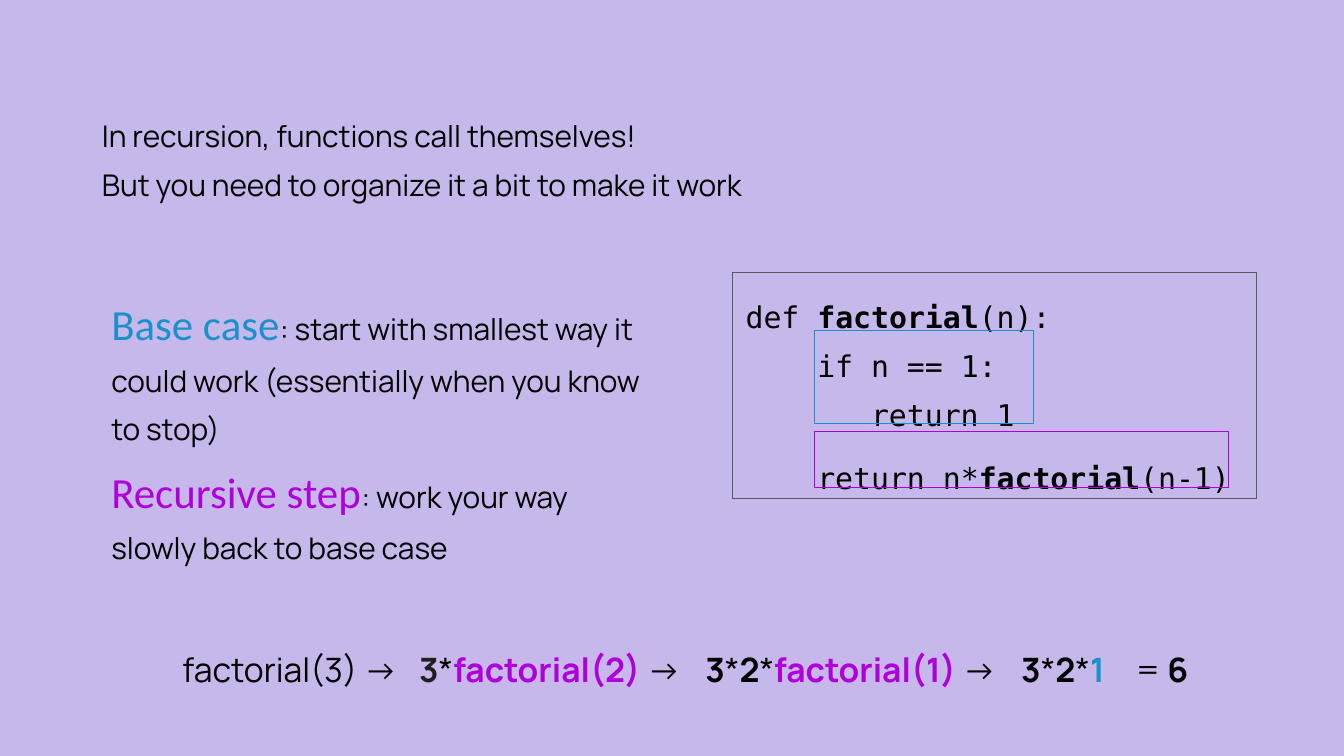
from dataclasses import dataclass
from typing import NamedTuple

from pptx import Presentation
from pptx.dml.color import RGBColor
from pptx.enum.shapes import MSO_SHAPE
from pptx.enum.text import MSO_ANCHOR, PP_ALIGN
from pptx.util import Inches, Pt

CELL = Inches(0.1)  # the slide is 100 columns wide


@dataclass(frozen=True)
class Theme:
    background: str = "C6B8EB"
    ink: str = "000000"
    soft_ink: str = "1F1F1F"
    frame: str = "595959"
    base: str = "1B91CA"
    recursive: str = "AF00DB"
    body_font: str = "Manrope"
    term_font: str = "Calibri"
    code_font: str = "DejaVu Sans Mono"
    body_size: float = 16
    term_size: float = 23
    step_size: float = 18
    line_spacing: float = 1.36
    line_width: float = 0.75


THEME = Theme()


class Area(NamedTuple):
    column: float
    row: float
    columns: float
    rows: float

    def lengths(self) -> list[int]:
        return [round(cells * CELL) for cells in self]


class Span(NamedTuple):
    text: str
    bold: bool = False
    color: str = THEME.ink
    font: str | None = None
    size: float | None = None


class Para(NamedTuple):
    spans: list[Span]
    indent: float = 0  # in characters of code
    gap: float = 0  # points above


class Step(NamedTuple):
    column: float
    columns: float
    spans: list[Span]


def write(shape, paras: list[Para], font: str, size: float) -> None:
    """Fill a shape with left-aligned paragraphs."""
    frame = shape.text_frame
    frame.word_wrap = True
    frame.vertical_anchor = MSO_ANCHOR.TOP
    frame.margin_left = frame.margin_right = CELL
    frame.margin_top = frame.margin_bottom = CELL
    for index, para in enumerate(paras):
        paragraph = frame.add_paragraph() if index else frame.paragraphs[0]
        paragraph.alignment = PP_ALIGN.LEFT
        paragraph.line_spacing = THEME.line_spacing
        paragraph.space_before = Pt(para.gap)
        paragraph.font.name = font
        paragraph.font.size = Pt(size)
        if para.indent:
            # A monospaced character is 0.6 em wide
            margin = Pt(para.indent * 0.6 * size)
            paragraph._p.get_or_add_pPr().set("marL", str(margin))
        for span in para.spans:
            run = paragraph.add_run()
            run.text = span.text
            run.font.bold = span.bold
            run.font.color.rgb = RGBColor.from_string(span.color)
            if span.font:
                run.font.name = span.font
            if span.size:
                run.font.size = Pt(span.size)


def add_text(page, area: Area, paras: list[Para], size: float) -> None:
    box = page.shapes.add_textbox(*area.lengths())
    write(box, paras, THEME.body_font, size)


def add_outline(page, area: Area, color: str):
    box = page.shapes.add_shape(MSO_SHAPE.RECTANGLE, *area.lengths())
    box.shadow.inherit = False
    box.fill.background()
    box.line.color.rgb = RGBColor.from_string(color)
    box.line.width = Pt(THEME.line_width)
    return box


def term(text: str, color: str) -> Span:
    return Span(text, False, color, THEME.term_font, THEME.term_size)


INTRO = [
    Para([Span("In recursion, functions call themselves!")]),
    Para([Span("But you need to organize it a bit to make it work")]),
]

CODE = [
    Para([Span("def "), Span("factorial", True), Span("(n):")]),
    Para([Span("if n == 1:")], indent=4),
    Para([Span("return 1")], indent=7),
    Para([Span("return n*"), Span("factorial", True), Span("(n-1)")], indent=4, gap=7.5),
]

DEFINITIONS = [
    Para([
        term("Base case", THEME.base),
        Span(": start with smallest way it could work (essentially when you know to stop)"),
    ]),
    Para([
        term("Recursive step", THEME.recursive),
        Span(": work your way slowly back to base case"),
    ]),
]

TIMES, ARROW = Span("*"), Span(" ->")
THREE, TWO = Span("3", True), Span("2", True)
STEPS = [
    Step(12.6, 23.4, [Span("factorial(3) ->")]),
    Step(30.2, 23.4, [Span("3", True, THEME.soft_ink), TIMES,
                      Span("factorial(2)", True, THEME.recursive), ARROW]),
    Step(51.5, 25.4, [THREE, TIMES, TWO, TIMES,
                      Span("factorial(1)", True, THEME.recursive), ARROW]),
    Step(75, 8.5, [THREE, TIMES, TWO, TIMES, Span("1", True, THEME.base)]),
    Step(83.5, 7.3, [Span("= "), Span("6", True)]),
]


def main() -> None:
    deck = Presentation()
    deck.slide_width = Inches(10)
    deck.slide_height = deck.slide_width * 9 // 16
    page = deck.slides.add_slide(deck.slide_layouts[6])
    page.background.fill.solid()
    page.background.fill.fore_color.rgb = RGBColor.from_string(THEME.background)

    # Introduction
    add_text(page, Area(6.6, 6.8, 55, 8.4), INTRO, THEME.body_size)

    # Code listing
    listing = add_outline(page, Area(54.5, 20.3, 39, 16.8), THEME.frame)
    write(listing, CODE, THEME.code_font, THEME.body_size)

    # Definitions, with their parts of the code outlined
    add_text(page, Area(7.3, 19.8, 42.7, 22.5), DEFINITIONS, THEME.body_size)
    add_outline(page, Area(60.6, 24.6, 16.3, 6.9), THEME.base)
    add_outline(page, Area(60.6, 32.1, 30.8, 4.2), THEME.recursive)

    # Worked example, step by step
    for step in STEPS:
        area = Area(step.column, 46.2, step.columns, 5)
        add_text(page, area, [Para(step.spans)], THEME.step_size)

    deck.save("out.pptx")


if __name__ == "__main__":
    main()
